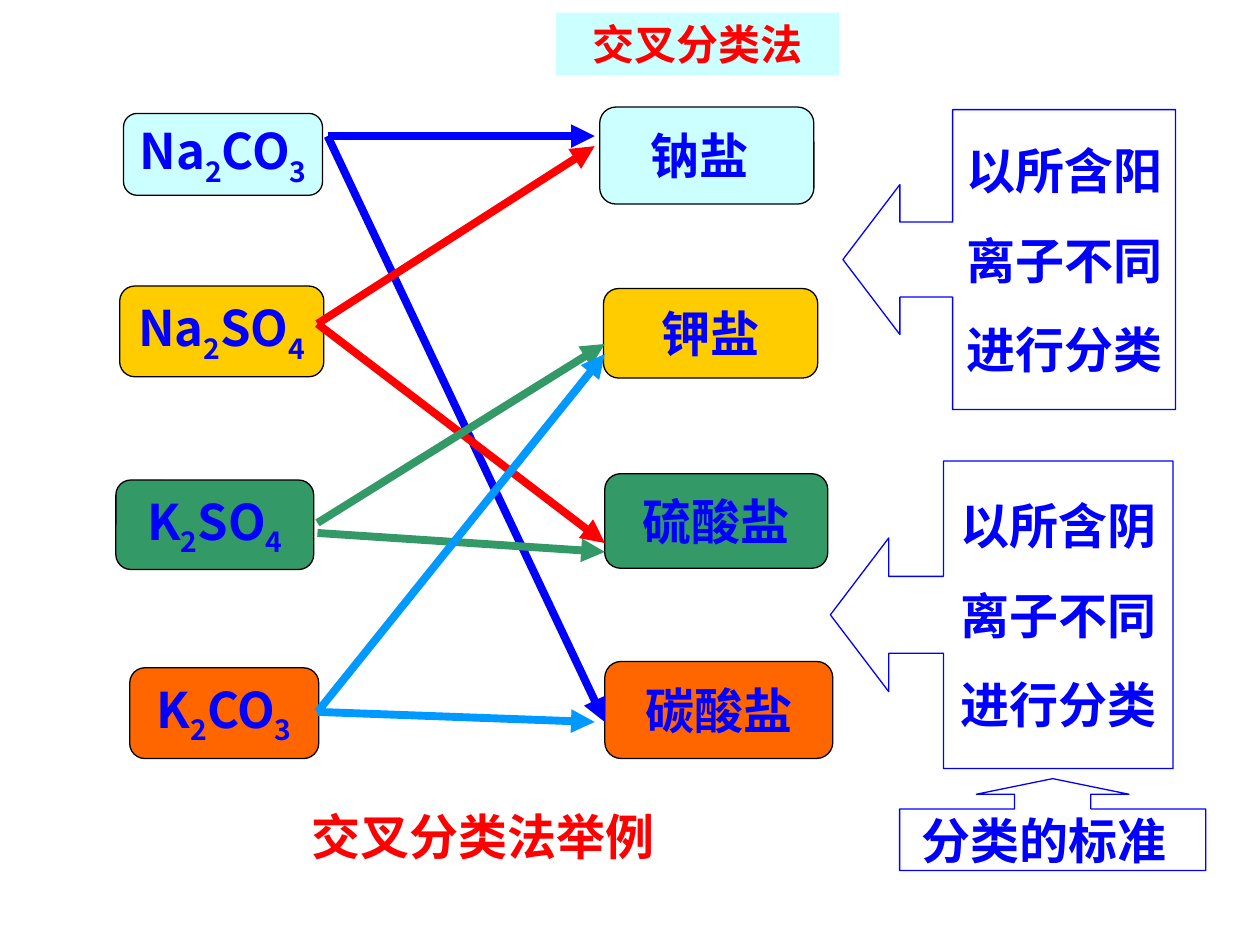
import itertools

import lxml.etree
import pptx
import pptx.dml.color
import pptx.enum.shapes
import pptx.enum.text
import pptx.oxml.ns
import pptx.util

COLS, ROWS = 100, 75
CELL = pptx.util.Inches(0.1)
FACE = "Noto Sans CJK SC"
BLUE, RED, BLACK = "0000FF", "FF0000", "000000"
AQUA, GOLD, GREEN, ORANGE, SKY = "CCFFFF", "FFCC00", "339966", "FF6600", "0099FF"
KIND = pptx.enum.shapes.MSO_SHAPE
ALIGN = pptx.enum.text.PP_ALIGN
ANCHOR = pptx.enum.text.MSO_ANCHOR


def grid(*cells):
    """Turn counts of grid cells into lengths."""
    return [round(n * CELL) for n in cells]


def tint(text):
    """Make a colour from a hex string."""
    return pptx.dml.color.RGBColor.from_string(text)


def add_tag(parent, name, **attrs):
    """Append a drawing element to a parent."""
    return lxml.etree.SubElement(parent, pptx.oxml.ns.qn(name), **attrs)


def style(run, size, color):
    """Format a run, lowering it when it is a number."""
    font = run.font
    font.size, font.bold, font.name = pptx.util.Pt(size), True, FACE
    font.color.rgb = tint(color)
    props = run._r.get_or_add_rPr()
    add_tag(props, "a:ea", typeface=FACE)
    if run.text.isdigit():
        props.set("baseline", "-25000")


def write(shape, lines, size=28, color=BLUE, wrap=True, align=ALIGN.CENTER,
          anchor=ANCHOR.MIDDLE):
    """Fill a shape with lines of bold text."""
    frame = shape.text_frame
    frame.word_wrap, frame.vertical_anchor = wrap, anchor
    for i, line in enumerate(lines):
        para = frame.add_paragraph() if i else frame.paragraphs[0]
        para.alignment = align
        if i:
            para.space_before = pptx.util.Pt(17.5)
        for _, part in itertools.groupby(line, str.isdigit):
            run = para.add_run()
            run.text = "".join(part)
            style(run, size, color)


def add_box(slide, kind, place, fill=None, line=None):
    """Add a preset shape with a flat fill and a thin line."""
    shape = slide.shapes.add_shape(kind, *grid(*place))
    shape.shadow.inherit = False
    if fill:
        shape.fill.solid()
        shape.fill.fore_color.rgb = tint(fill)
    else:
        shape.fill.background()
    if line:
        shape.line.color.rgb = tint(line)
        shape.line.width = pptx.util.Pt(0.75)
    else:
        shape.line.fill.background()
    return shape


def add_label(slide, place, text, color):
    """Add a text box with one centred line."""
    box = slide.shapes.add_textbox(*grid(*place))
    write(box, [text], color=color, anchor=ANCHOR.TOP)


def add_arrow(slide, start, end, color):
    """Add a thick line with an arrowhead at its end."""
    kind = pptx.enum.shapes.MSO_CONNECTOR.STRAIGHT
    arrow = slide.shapes.add_connector(kind, *grid(*start, *end))
    arrow.line.color.rgb = tint(color)
    arrow.line.width = pptx.util.Pt(4.5)
    add_tag(arrow.line._get_or_add_ln(), "a:tailEnd", type="triangle")
    add_tag(arrow._element.spPr, "a:effectLst")


def add_callout(slide, kind, place, adjust, lines, align=ALIGN.CENTER):
    """Add an outlined arrow callout with text."""
    shape = add_box(slide, kind, place, line=BLUE)
    for i, value in enumerate(adjust):
        shape.adjustments[i] = value
    write(shape, lines, align=align)
    return shape


def add_salts(slide):
    """Add the salts on the left and their classes on the right."""
    salts = [
        ("Na2CO3", (9.8, 9, 15.8, 6.5), AQUA),
        ("Na2SO4", (9.5, 22.7, 16.2, 7.2), GOLD),
        ("K2SO4", (9.2, 38.1, 15.7, 7.1), GREEN),
        ("K2CO3", (10.3, 53, 15, 7.2), ORANGE),
        ("", (47.6, 8.5, 17, 7.7), AQUA),
        ("钾盐", (47.9, 22.9, 17, 7.1), GOLD),
        ("硫酸盐", (48, 37.6, 17.7, 7.5), GREEN),
        ("碳酸盐", (48, 52.5, 18.1, 7.7), ORANGE),
    ]
    for text, place, fill in salts:
        box = add_box(slide, KIND.ROUNDED_RECTANGLE, place, fill, BLACK)
        if text:
            write(box, [text], wrap=False)


def add_links(slide):
    """Join each salt to its two classes."""
    links = [
        ((26, 10.8), (47.2, 10.8), BLUE),
        ((26, 10.8), (48, 57.3), BLUE),
        ((25.2, 25.7), (47.2, 11.6), RED),
        ((25.2, 25.7), (48, 43.1), RED),
        ((25.2, 41.5), (48, 27.3), GREEN),
        ((25.2, 42.3), (48, 43.8), GREEN),
        ((25.2, 56.5), (47.2, 57.3), SKY),
        ((25.2, 56.5), (48, 28.1), SKY),
    ]
    for link in links:
        add_arrow(slide, *link)


def add_notes(slide):
    """Add the callouts that name the rules of sorting."""
    sides = [
        ("阳", (66.9, 8.7, 26.4, 23.8)),
        ("阴", (65.9, 36.6, 27.2, 24.4)),
    ]
    for ion, place in sides:
        lines = ["以所含" + ion, "离子不同", "进行分类"]
        add_callout(slide, KIND.LEFT_ARROW_CALLOUT, place,
                    (0.25, 0.25, 0.19, 0.67), lines)
    base = add_callout(slide, KIND.UP_ARROW_CALLOUT, (71.4, 61.8, 24.3, 7.3),
                       (0.83, 0.83, 0.17, 0.67), ["分类的标准"], ALIGN.LEFT)
    base.text_frame.margin_left = grid(1.75)[0]


def main():
    """Build the slide and save it."""
    deck = pptx.Presentation()
    deck.slide_width, deck.slide_height = grid(COLS, ROWS)
    slide = deck.slides.add_slide(deck.slide_layouts[6])
    add_salts(slide)
    add_links(slide)
    add_label(slide, (49.5, 9.5, 12, 5.7), "钠盐", BLUE)
    add_notes(slide)
    add_label(slide, (10, 63.5, 56.7, 5.7), "交叉分类法举例", RED)
    head = add_box(slide, KIND.RECTANGLE, (44.1, 1, 22.5, 5), AQUA)
    write(head, ["交叉分类法"], 24, RED, anchor=ANCHOR.TOP)
    deck.save("out.pptx")


if __name__ == "__main__":
    main()
